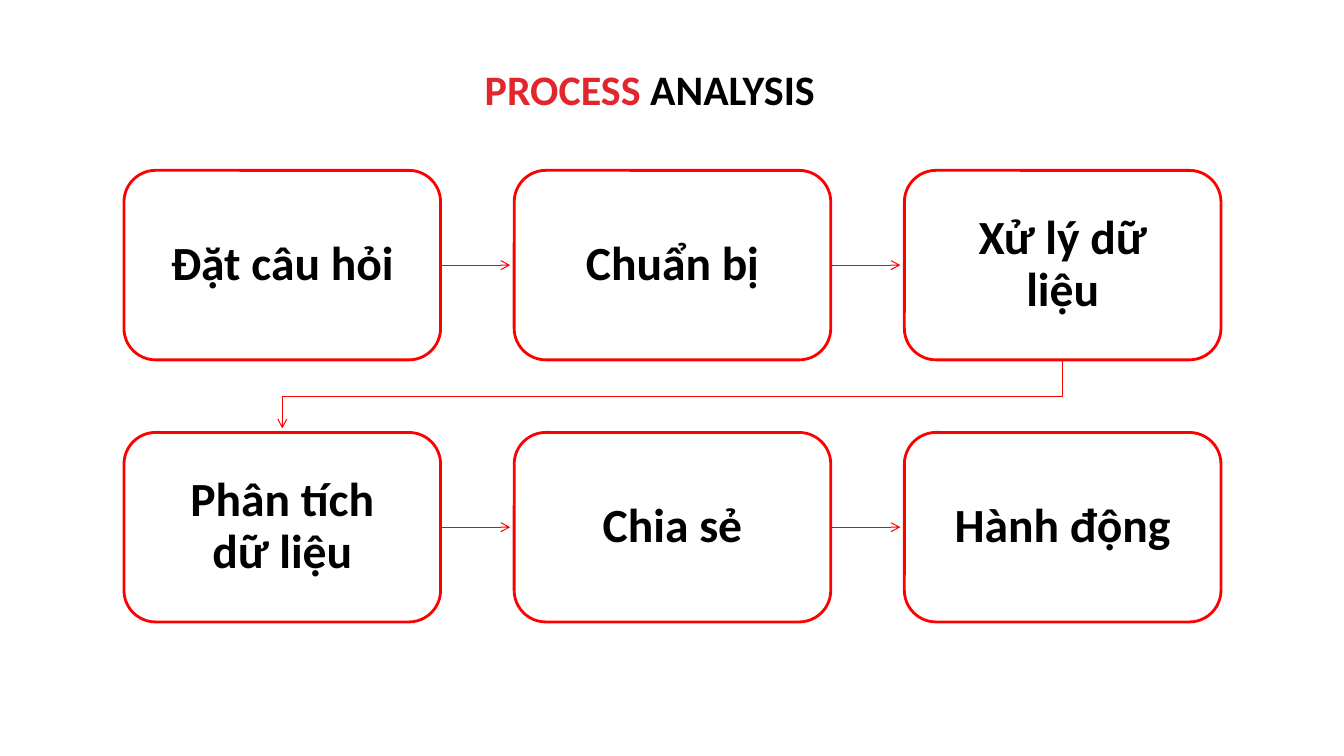
from dataclasses import dataclass

from lxml.etree import SubElement
from pptx import Presentation
from pptx.dml.color import RGBColor
from pptx.enum.shapes import MSO_CONNECTOR, MSO_SHAPE
from pptx.enum.text import MSO_ANCHOR, MSO_AUTO_SIZE, PP_ALIGN
from pptx.oxml.ns import qn
from pptx.shapes.autoshape import Shape
from pptx.shapes.connector import Connector
from pptx.slide import Slide
from pptx.text.text import TextFrame, _Paragraph
from pptx.util import Inches, Pt

RED = "FF0000"
BLACK = "000000"
LEFT, TOP = 1.23, 1.69
WIDE, HIGH = 3.14, 1.88
STEP_X, STEP_Y = 3.87, 2.6
GAP = 0.04
COLS = 3


@dataclass
class Step:
    label: str
    col: int
    row: int

    @property
    def left(self) -> float:
        return LEFT + self.col * STEP_X

    @property
    def top(self) -> float:
        return TOP + self.row * STEP_Y

    @property
    def mid(self) -> float:
        return self.left + WIDE / 2


LABELS = [
    "Đặt câu hỏi", "Chuẩn bị", "Xử lý dữ liệu",
    "Phân tích dữ liệu", "Chia sẻ", "Hành động",
]
STEPS = [Step(label, i % COLS, i // COLS) for i, label in enumerate(LABELS)]


def color(code: str) -> RGBColor:
    return RGBColor.from_string(code)


def add_run(para: _Paragraph, text: str, size: int, code: str) -> None:
    run = para.add_run()
    run.text = text
    run.font.name = "Calibri"
    run.font.size = Pt(size)
    run.font.bold = True
    run.font.color.rgb = color(code)


def set_frame(frame: TextFrame, inset: float, anchor: MSO_ANCHOR) -> _Paragraph:
    frame.word_wrap = True
    frame.auto_size = MSO_AUTO_SIZE.NONE
    frame.vertical_anchor = anchor
    frame.margin_left = frame.margin_right = Inches(inset)
    frame.margin_top = frame.margin_bottom = Inches(inset)
    para = frame.paragraphs[0]
    para.alignment = PP_ALIGN.CENTER
    return para


def add_title(slide: Slide) -> None:
    title = slide.shapes.title
    title.left, title.top = Inches(0.25), Inches(0.5)
    title.width, title.height = Inches(12.39), Inches(0.83)
    para = set_frame(title.text_frame, 0.13, MSO_ANCHOR.TOP)
    add_run(para, "PROCESS ", 30, "E2262D")
    add_run(para, "ANALYSIS", 30, BLACK)


def add_box(slide: Slide, step: Step) -> Shape:
    box = slide.shapes.add_shape(
        MSO_SHAPE.ROUNDED_RECTANGLE,
        Inches(step.left), Inches(step.top), Inches(WIDE), Inches(HIGH),
    )
    box.shadow.inherit = False
    box.fill.background()
    box.line.color.rgb = color(RED)
    box.line.width = Pt(2)
    para = set_frame(box.text_frame, 0.26, MSO_ANCHOR.MIDDLE)
    para.line_spacing = 0.9
    add_run(para, step.label, 34, BLACK)
    return box


def set_arrow(shape: Shape | Connector) -> None:
    shape.line.color.rgb = color(RED)
    shape.line.width = Pt(0.75)
    props = shape.element.spPr
    SubElement(props.find(qn("a:ln")), qn("a:tailEnd"), type="arrow")


def add_link(slide: Slide, box: Shape, start: Step, end: Step) -> None:
    level = Inches(start.top + HIGH / 2)
    link = slide.shapes.add_connector(
        MSO_CONNECTOR.STRAIGHT,
        Inches(start.left + WIDE), level, Inches(end.left - GAP), level,
    )
    link.begin_connect(box, 3)
    set_arrow(link)
    SubElement(link.element.spPr, qn("a:effectLst"))


def add_turn(slide: Slide, start: Step, end: Step) -> None:
    base = start.top + HIGH
    bend = (base + end.top) / 2
    pen = slide.shapes.build_freeform(Inches(start.mid), Inches(base))
    points = [(start.mid, bend), (end.mid, bend), (end.mid, end.top - GAP)]
    pen.add_line_segments([(Inches(x), Inches(y)) for x, y in points], close=False)
    turn = pen.convert_to_shape()
    turn.shadow.inherit = False
    turn.fill.background()
    set_arrow(turn)


def main() -> None:
    deck = Presentation()
    deck.slide_width, deck.slide_height = Inches(13.33), Inches(7.5)
    slide = deck.slides.add_slide(deck.slide_layouts[5])
    add_title(slide)
    boxes = [add_box(slide, step) for step in STEPS]
    for box, start, end in zip(boxes, STEPS, STEPS[1:]):
        if start.row == end.row:
            add_link(slide, box, start, end)
        else:
            add_turn(slide, start, end)
    deck.save("out.pptx")


if __name__ == "__main__":
    main()
